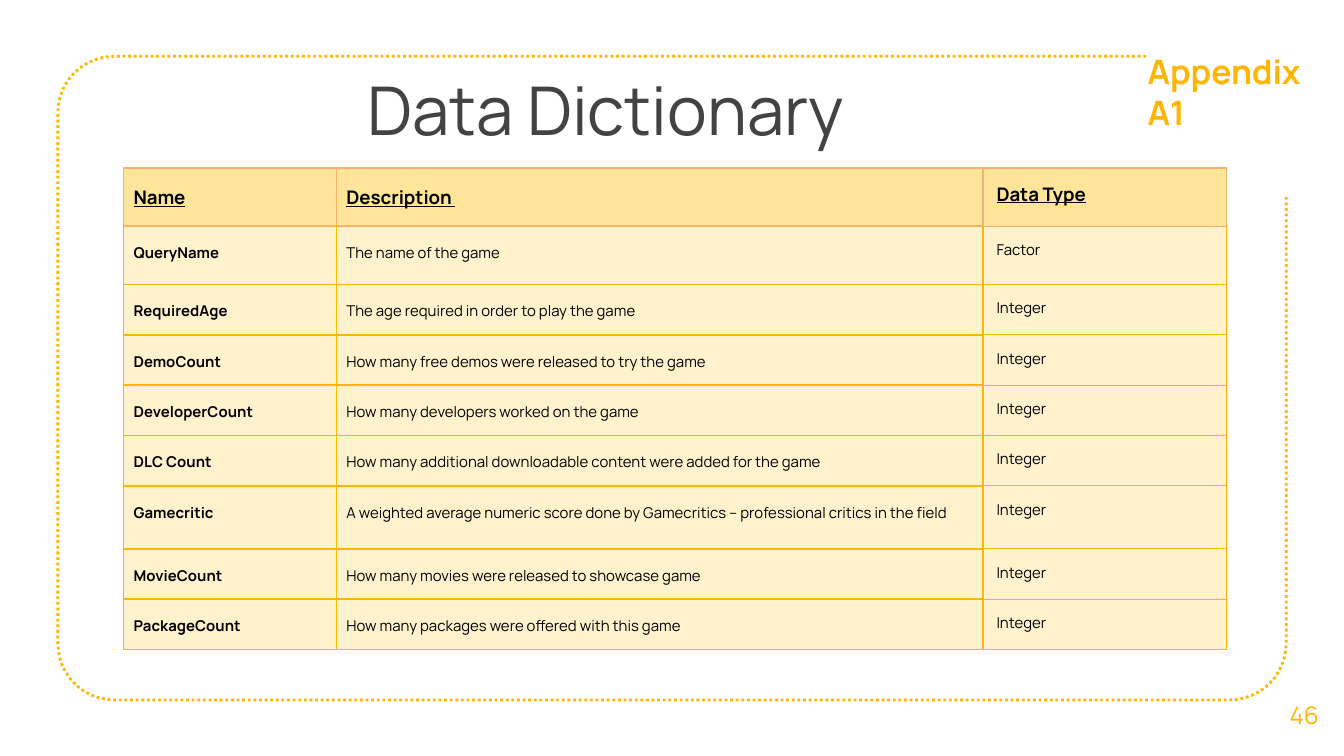
import math

import lxml.etree
import pptx
import pptx.dml.color
import pptx.enum.dml
import pptx.enum.text
import pptx.oxml.ns
import pptx.util

Pt = pptx.util.Pt
RGBColor = pptx.dml.color.RGBColor
Align = pptx.enum.text.PP_ALIGN
Anchor = pptx.enum.text.MSO_ANCHOR

FONT = "Manrope"
YELLOW = RGBColor(0xFF, 0xB6, 0x00)
ORANGE = RGBColor(0xF6, 0xB2, 0x6B)
HEADER_FILL = RGBColor(0xFF, 0xE5, 0x99)
BODY_FILL = RGBColor(0xFF, 0xF2, 0xCC)
GRAY = RGBColor(0x43, 0x43, 0x43)
BLACK = RGBColor(0, 0, 0)

COLUMN_WIDTHS = [114, 346.5, 130.5]
ROW_HEIGHTS = [31.2, 31.2, 27, 27, 27, 27, 33.7, 27, 27]
ROWS = [
    ("Name", "Description ", "Data Type"),
    ("QueryName", "The name of the game", "Factor"),
    ("RequiredAge", "The age required in order to play the game", "Integer"),
    ("DemoCount", "How many free demos were released to try the game", "Integer"),
    ("DeveloperCount", "How many developers worked on the game", "Integer"),
    ("DLC Count", "How many additional downloadable content were added for the game", "Integer"),
    ("Gamecritic", "A weighted average numeric score done by Gamecritics – "
     "professional critics in the field", "Integer"),
    ("MovieCount", "How many movies were released to showcase game", "Integer"),
    ("PackageCount", "How many packages were offered with this game", "Integer"),
]


def add_run(paragraph, text, size, color, bold=False, underline=False):
    run = paragraph.add_run()
    run.text = text
    run.font.name = FONT
    run.font.size = Pt(size)
    run.font.color.rgb = color
    run.font.bold = bold
    run.font.underline = underline


def add_text(slide, box, text, size, color, bold=False, align=Align.LEFT,
             anchor=Anchor.TOP, line_spacing=None):
    frame = slide.shapes.add_textbox(*map(Pt, box)).text_frame
    frame.word_wrap = True
    frame.vertical_anchor = anchor
    frame.margin_left = frame.margin_right = Pt(7.2)
    frame.margin_top = frame.margin_bottom = Pt(7.2)
    paragraph = frame.paragraphs[0]
    paragraph.alignment = align
    paragraph.line_spacing = line_spacing
    add_run(paragraph, text, size, color, bold)


def corner(center_x, center_y, radius, start_angle):
    """Points of a quarter turn, running counterclockwise on the slide."""
    angles = [math.radians(start_angle - 7.5 * step) for step in range(13)]
    return [(Pt(center_x + radius * math.cos(angle)),
             Pt(center_y + radius * math.sin(angle))) for angle in angles]


def add_dotted_frame(slide):
    left, top, right, bottom, radius = 31, 30.2, 689, 375, 30.2
    points = corner(left + radius, top + radius, radius, 270)
    points += corner(left + radius, bottom - radius, radius, 180)
    points += corner(right - radius, bottom - radius, radius, 90)
    points.append((Pt(right), Pt(105)))
    builder = slide.shapes.build_freeform(Pt(614), Pt(top))
    builder.add_line_segments(points, close=False)
    shape = builder.convert_to_shape()
    shape.shadow.inherit = False
    shape.fill.background()
    shape.line.color.rgb = YELLOW
    shape.line.width = Pt(1.5)
    shape.line.dash_style = pptx.enum.dml.MSO_LINE.ROUND_DOT


def set_border(cell, side, color, width):
    properties = cell._tc.get_or_add_tcPr()
    qn = pptx.oxml.ns.qn
    line = lxml.etree.SubElement(properties, qn("a:ln" + side), w=str(Pt(width)))
    fill = lxml.etree.SubElement(line, qn("a:solidFill"))
    lxml.etree.SubElement(fill, qn("a:srgbClr"), val=str(color))


def fill_cell(cell, text, row, column):
    is_header = row == 0
    is_type = column == 2
    # Borders come before the fill in the cell properties
    for side in "LRTB":
        color = ORANGE if is_header or (row == 1 and side == "T") else YELLOW
        set_border(cell, side, color, 0.75 if is_type and side != "L" else 1)
    cell.fill.solid()
    cell.fill.fore_color.rgb = HEADER_FILL if is_header else BODY_FILL
    cell.margin_left = cell.margin_right = Pt(7.2 if is_type else 5.4)
    cell.margin_top = cell.margin_bottom = Pt(7.2)
    paragraph = cell.text_frame.paragraphs[0]
    paragraph.line_spacing = 1.0 if is_type else 1.15
    add_run(paragraph, text, 10 if is_header else 8, BLACK,
            bold=is_header or column == 0, underline=is_header)


def add_dictionary_table(slide):
    table = slide.shapes.add_table(
        len(ROWS), len(COLUMN_WIDTHS), Pt(66.2), Pt(90),
        Pt(sum(COLUMN_WIDTHS)), Pt(sum(ROW_HEIGHTS))).table
    table.first_row = table.horz_banding = False
    for column, width in zip(table.columns, COLUMN_WIDTHS):
        column.width = Pt(width)
    for row, height in zip(table.rows, ROW_HEIGHTS):
        row.height = Pt(height)
    for row, texts in enumerate(ROWS):
        for column, text in enumerate(texts):
            fill_cell(table.cell(row, column), text, row, column)


def main():
    presentation = pptx.Presentation()
    presentation.slide_width, presentation.slide_height = Pt(720), Pt(405)
    slide = presentation.slides.add_slide(presentation.slide_layouts[6])

    # Frame and page number
    add_dotted_frame(slide)
    add_text(slide, (677.5, 361.5, 42.5, 43), "46", 13, YELLOW,
             align=Align.CENTER, anchor=Anchor.MIDDLE)

    # Data dictionary
    add_dictionary_table(slide)

    # Headings
    add_text(slide, (54, 29.5, 540.7, 67.7), "Data Dictionary", 36, GRAY,
             align=Align.CENTER)
    add_text(slide, (607.7, 20.2, 113, 38.2), "Appendix A1", 18, YELLOW, bold=True)

    presentation.save("out.pptx")


if __name__ == "__main__":
    main()
